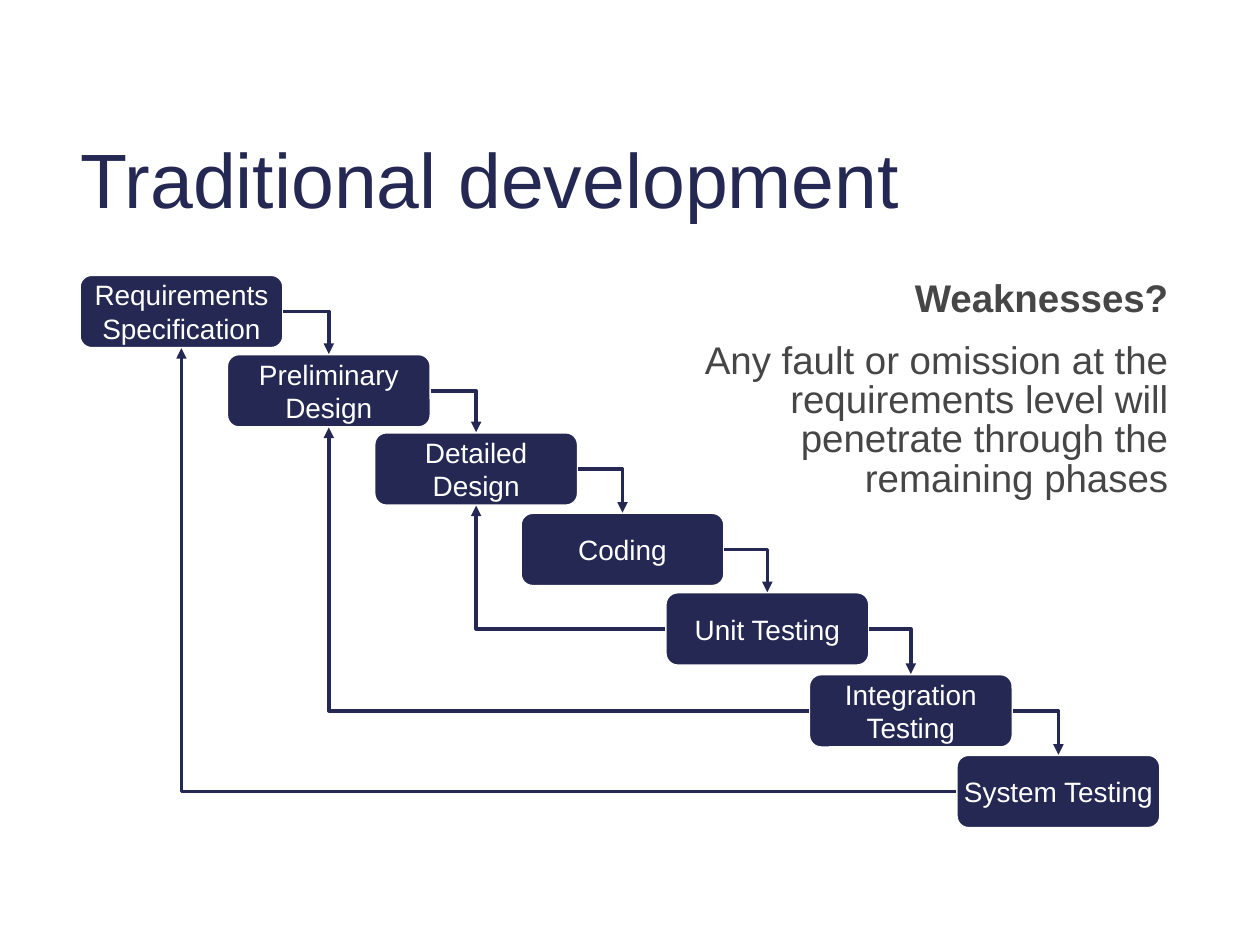
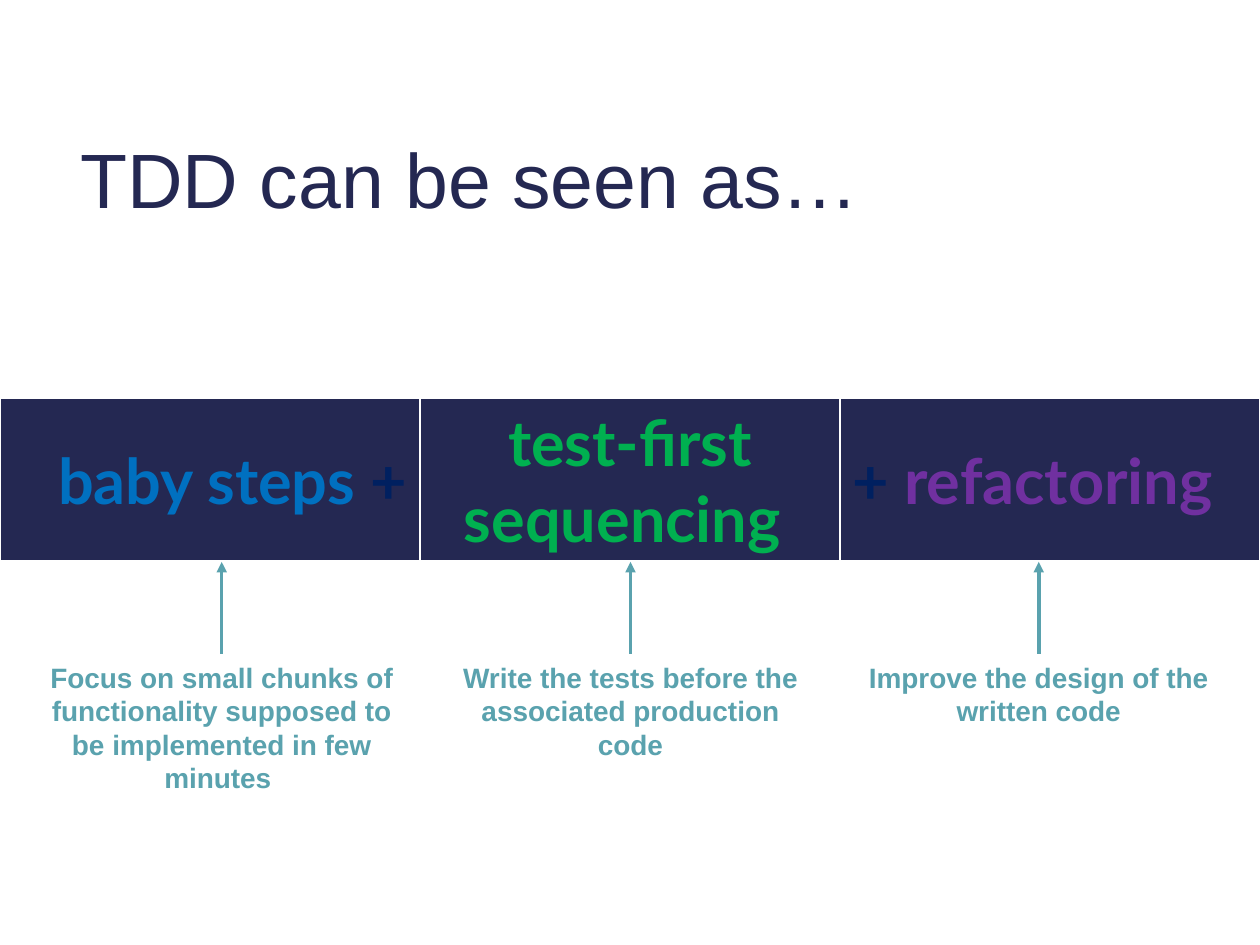
from dataclasses import dataclass

from lxml import etree
from pptx import Presentation
from pptx.dml.color import RGBColor
from pptx.enum.shapes import MSO_CONNECTOR as Link, MSO_SHAPE as Preset
from pptx.enum.text import MSO_ANCHOR as Anchor, PP_ALIGN as Align
from pptx.oxml import parse_xml
from pptx.oxml.ns import nsdecls, qn
from pptx.util import Pt


@dataclass(frozen=True)
class Theme:
    navy: str = "242852"
    white: str = "FFFFFF"
    grey: str = "464646"
    teal: str = "5AA2AE"
    blue: str = "0070C0"
    dark_blue: str = "002060"
    green: str = "00B050"
    purple: str = "7030A0"
    font: str = "Arial"
    formula_font: str = "Lato"
    title_size: int = 44
    formula_size: int = 36
    body_size: int = 22
    label_size: int = 16
    arrow_width: float = 2


THEME = Theme()
TOP, LEFT, BOTTOM, RIGHT = range(4)

PHASE_WIDTH, PHASE_HEIGHT = 116.6, 42
PHASES = [
    ("Requirements Specification", 45.4, 157),
    ("Preliminary Design", 129.6, 202.3),
    ("Detailed Design", 213.8, 247),
    ("Coding", 297.4, 293),
    ("Unit Testing", 380.2, 338.4),
    ("Integration Testing", 462.2, 385.2),
    ("System Testing", 546.5, 431.3),
]
# Each testing phase leads back to the phase it checks
FEEDBACK = [(6, 0), (5, 1), (4, 2)]

FORMULA = [
    (Align.RIGHT, [("baby steps ", THEME.blue), ("+", THEME.dark_blue)]),
    (Align.CENTER, [("test-first sequencing ", THEME.green)]),
    (Align.LEFT, [("+ ", THEME.dark_blue), ("refactoring", THEME.purple)]),
]
NOTES_TOP, NOTE_ARROW_TOP = 373.7, 321.1
NOTES = [
    ("Focus on small chunks of functionality supposed to be implemented in few minutes ",
     15.8, 221.8, 85),
    ("Write the tests before the associated production code", 253.4, 213.8, 65.5),
    ("Improve the design of the written code", 486.7, 213.8, 46.1),
]


def add_run(paragraph, text, size, color, bold=False, font=THEME.font):
    run = paragraph.add_run()
    run.text = text
    run.font.size = Pt(size)
    run.font.name = font
    run.font.bold = bold
    run.font.color.rgb = RGBColor.from_string(color)


def add_text_box(slide, left, top, width, height, anchor=Anchor.TOP):
    box = slide.shapes.add_textbox(Pt(left), Pt(top), Pt(width), Pt(height))
    box.text_frame.word_wrap = True
    box.text_frame.vertical_anchor = anchor
    return box


def add_title(slide, text):
    title = add_text_box(slide, 38.9, 39.6, 636.5, 130.3, Anchor.MIDDLE)
    paragraph = title.text_frame.paragraphs[0]
    paragraph.line_spacing = 0.9
    add_run(paragraph, text, THEME.title_size, THEME.navy)


def add_weaknesses(slide):
    frame = add_text_box(slide, 355.7, 157, 319, 296.6).text_frame
    heading, answer = frame.paragraphs[0], frame.add_paragraph()
    for paragraph in (heading, answer):
        paragraph.alignment = Align.RIGHT
        paragraph.line_spacing = 0.85
    answer.space_before = Pt(13)
    add_run(heading, "Weaknesses?", THEME.body_size, THEME.grey, bold=True)
    add_run(answer, "Any fault or omission at the requirements level will "
            "penetrate through the remaining phases", THEME.body_size, THEME.grey)


def add_phase(slide, text, left, top):
    phase = slide.shapes.add_shape(Preset.ROUNDED_RECTANGLE, Pt(left), Pt(top),
                                   Pt(PHASE_WIDTH), Pt(PHASE_HEIGHT))
    phase.shadow.inherit = False
    phase.fill.solid()
    phase.fill.fore_color.rgb = RGBColor.from_string(THEME.navy)
    phase.line.color.rgb = RGBColor.from_string(THEME.white)
    phase.line.width = Pt(1.5)
    frame = phase.text_frame
    frame.word_wrap = True
    frame.vertical_anchor = Anchor.MIDDLE
    frame.margin_left = frame.margin_right = frame.margin_top = frame.margin_bottom = 0
    frame.paragraphs[0].alignment = Align.CENTER
    add_run(frame.paragraphs[0], text, THEME.label_size, THEME.white)
    return phase


def add_arrow(slide, kind, color, start=(0, 0), end=(0, 0)):
    arrow = slide.shapes.add_connector(kind, *start, *end)
    arrow.line.color.rgb = RGBColor.from_string(color)
    arrow.line.width = Pt(THEME.arrow_width)
    properties = arrow._element.spPr
    etree.SubElement(properties.find(qn("a:ln")), qn("a:tailEnd"), type="triangle")
    etree.SubElement(properties, qn("a:effectLst"))
    return arrow


def link_phases(slide, source, source_side, target, target_side):
    """Join two phases by an arrow with a single bend."""
    arrow = add_arrow(slide, Link.ELBOW, THEME.navy)
    arrow._element.spPr.find(qn("a:prstGeom")).set("prst", "bentConnector2")
    arrow.begin_connect(source, source_side)
    arrow.end_connect(target, target_side)


def set_cell_borders(cell):
    properties = cell._tc.get_or_add_tcPr()
    for side, width in (("L", 1), ("R", 1), ("T", 1), ("B", 3)):
        properties.append(parse_xml(
            f'<a:ln{side} {nsdecls("a")} w="{Pt(width)}"><a:solidFill>'
            f'<a:srgbClr val="{THEME.white}"/></a:solidFill></a:ln{side}>'))


def add_formula(slide):
    table = slide.shapes.add_table(1, len(FORMULA), 0, Pt(227.5),
                                   Pt(720), Pt(92)).table
    table.first_row = table.horz_banding = False
    for cell, (alignment, parts) in zip(table.rows[0].cells, FORMULA):
        set_cell_borders(cell)
        cell.fill.solid()
        cell.fill.fore_color.rgb = RGBColor.from_string(THEME.navy)
        cell.vertical_anchor = Anchor.MIDDLE
        paragraph = cell.text_frame.paragraphs[0]
        paragraph.alignment = alignment
        for text, color in parts:
            add_run(paragraph, text, THEME.formula_size, color, True, THEME.formula_font)


def add_note(slide, text, left, width, height):
    """Add an explanation with an arrow up to its part of the formula."""
    note = add_text_box(slide, left, NOTES_TOP, width, height)
    paragraph = note.text_frame.paragraphs[0]
    paragraph.alignment = Align.CENTER
    add_run(paragraph, text, THEME.label_size, THEME.teal, bold=True)
    middle = Pt(left + width / 2)
    arrow = add_arrow(slide, Link.STRAIGHT, THEME.teal,
                      (middle, Pt(NOTES_TOP)), (middle, Pt(NOTE_ARROW_TOP)))
    arrow.begin_connect(note, TOP)


def build_traditional(slide):
    add_title(slide, "Traditional development")
    add_weaknesses(slide)
    phases = [add_phase(slide, *phase) for phase in PHASES]
    for phase, following in zip(phases, phases[1:]):
        link_phases(slide, phase, RIGHT, following, TOP)
    for test, checked in FEEDBACK:
        link_phases(slide, phases[test], LEFT, phases[checked], BOTTOM)


def build_tdd(slide):
    add_title(slide, "TDD can be seen as…")
    add_formula(slide)
    for note in NOTES:
        add_note(slide, *note)


def main():
    deck = Presentation()
    deck.slide_width, deck.slide_height = Pt(720), Pt(540)
    blank = deck.slide_layouts[6]
    for build in (build_traditional, build_tdd):
        build(deck.slides.add_slide(blank))
    deck.save("out.pptx")


if __name__ == "__main__":
    main()
